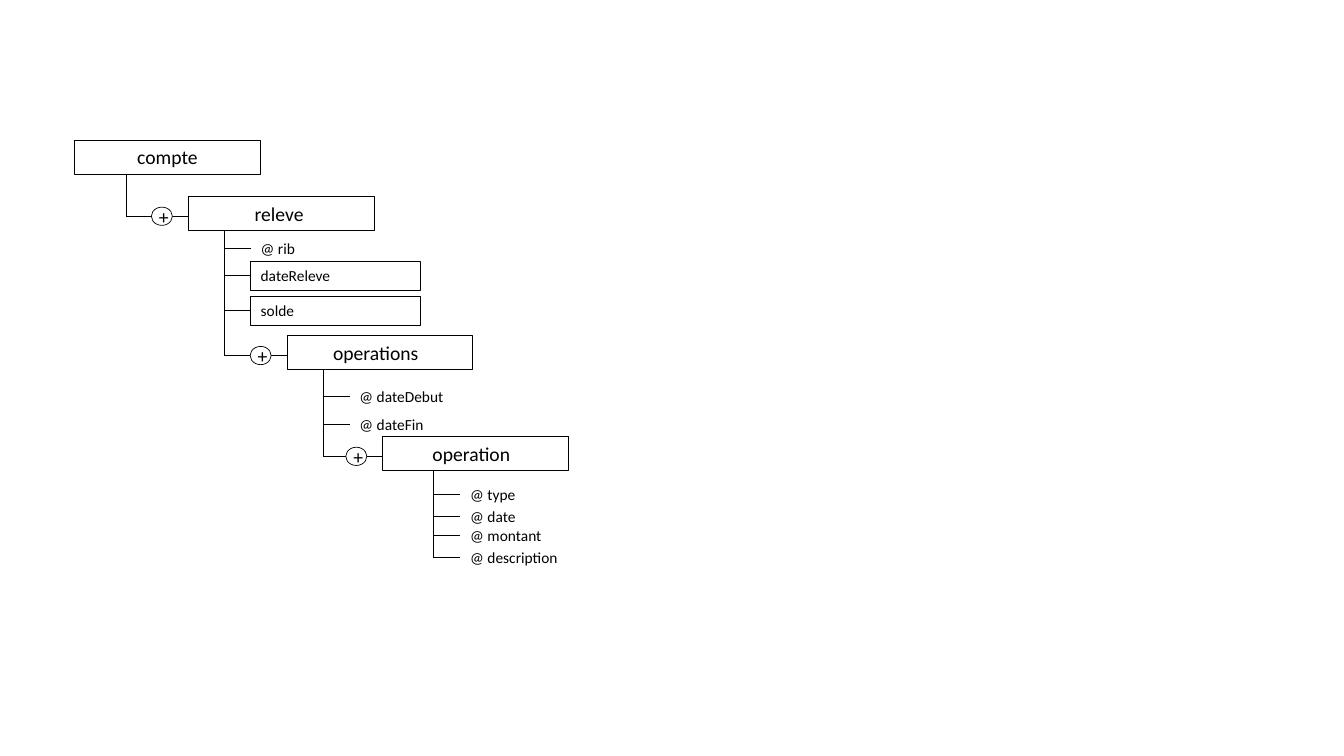
from dataclasses import dataclass, field

from lxml.etree import SubElement
from pptx import Presentation
from pptx.dml.color import RGBColor
from pptx.enum.shapes import MSO_CONNECTOR as Connector, MSO_SHAPE as Preset
from pptx.enum.text import MSO_ANCHOR as Anchor, PP_ALIGN as Align
from pptx.oxml.ns import qn
from pptx.util import Cm, Pt


@dataclass(frozen=True)
class Theme:
    """Colours, font, type sizes and line widths."""
    ink: RGBColor = RGBColor(0, 0, 0)
    paper: RGBColor = RGBColor(255, 255, 255)
    font: str = "Calibri"
    node_size: int = 14
    leaf_size: int = 11
    box_line: float = 0.75
    thin_line: float = 0.5


@dataclass
class Leaf:
    """An attribute or a boxed child element, centred on height y."""
    label: str
    y: float
    boxed: bool = False


@dataclass
class Node:
    """An element box, with its trunk offset and its leaves; nudge is an extra right inset."""
    label: str
    left: float
    top: float
    trunk: float
    leaves: list = field(default_factory=list)
    nudge: float = 0


NODE_W, NODE_H = 4.68, 0.86
LEAF_W, LEAF_H = 4.27, 0.73
PLUS_W, PLUS_H = 0.53, 0.46
BRANCH = 0.67      # trunk to leaf
LINK_DROP = 0.5    # top of a node to its incoming link
PLUS_GAP = 0.67    # centre of the plus sign to its node
INSET_X, INSET_Y = 0.25, 0.13

SCHEMA = [
    Node("compte", 1.88, 3.53, 1.3),
    Node("releve", 4.75, 4.95, 0.9, [
        Leaf("@ rib", 6.27), Leaf("dateReleve", 6.95, True), Leaf("solde", 7.83, True)],
        nudge=0.11),
    Node("operations", 7.24, 8.46, 0.9, [
        Leaf("@ dateDebut", 9.98), Leaf("@ dateFin", 10.69)], nudge=0.22),
    Node("operation", 9.65, 11.0, 1.28, [
        Leaf("@ type", 12.45), Leaf("@ date", 13.0),
        Leaf("@ montant", 13.49), Leaf("@ description", 14.05)], nudge=0.22),
]


class SchemaSlide:
    """Draws the parts of a schema tree on one slide."""

    def __init__(self, slide, theme):
        """Keep the slide and its style."""
        self.shapes = slide.shapes
        self.theme = theme

    def add_label(self, holder, label, size, align, insets):
        """Add one run of text; insets are left, top, right and bottom."""
        frame = holder.text_frame
        frame.word_wrap = True
        frame.vertical_anchor = Anchor.MIDDLE
        (frame.margin_left, frame.margin_top,
         frame.margin_right, frame.margin_bottom) = map(Cm, insets)
        paragraph = frame.paragraphs[0]
        paragraph.alignment = align
        run = paragraph.add_run()
        run.text = label
        run.font.name = self.theme.font
        run.font.size = Pt(size)
        run.font.color.rgb = self.theme.ink

    def outline(self, preset, left, top, width, height, weight):
        """Add an outlined shape without fill or shadow."""
        shape = self.shapes.add_shape(preset, Cm(left), Cm(top), Cm(width), Cm(height))
        shape.shadow.inherit = False
        shape.fill.background()
        shape.line.color.rgb = self.theme.ink
        shape.line.width = Pt(weight)
        return shape

    def line(self, x1, y1, x2, y2):
        """Draw a thin straight line."""
        branch = self.shapes.add_connector(
            Connector.STRAIGHT, Cm(x1), Cm(y1), Cm(x2), Cm(y2))
        branch.line.color.rgb = self.theme.ink
        branch.line.width = Pt(self.theme.thin_line)
        SubElement(branch._element.spPr, qn("a:effectLst"))

    def node(self, node):
        """Draw the box of an element."""
        box = self.outline(Preset.RECTANGLE, node.left, node.top, NODE_W, NODE_H,
                           self.theme.box_line)
        self.add_label(box, node.label, self.theme.node_size, Align.CENTER,
                       (INSET_X, INSET_Y, INSET_X + node.nudge, INSET_Y))

    def leaf(self, leaf, trunk_x):
        """Draw a leaf and its branch from the trunk."""
        left, top = trunk_x + BRANCH, leaf.y - LEAF_H / 2
        self.line(trunk_x, leaf.y, left, leaf.y)
        if leaf.boxed:
            holder = self.outline(Preset.RECTANGLE, left, top, LEAF_W, LEAF_H,
                                  self.theme.box_line)
        else:
            holder = self.shapes.add_textbox(Cm(left), Cm(top), Cm(LEAF_W), Cm(LEAF_H))
        self.add_label(holder, leaf.label, self.theme.leaf_size, Align.LEFT,
                       (INSET_X, INSET_Y, INSET_X, INSET_Y))

    def link(self, trunk_x, child):
        """Link a trunk to a child element through a plus sign."""
        y = child.top + LINK_DROP
        self.line(trunk_x, y, child.left, y)
        plus = self.outline(Preset.OVAL, child.left - PLUS_GAP - PLUS_W / 2,
                            y - PLUS_H / 2, PLUS_W, PLUS_H, self.theme.thin_line)
        plus.fill.solid()
        plus.fill.fore_color.rgb = self.theme.paper
        self.add_label(plus, "+", self.theme.node_size, Align.CENTER, (0.1, 0, 0, 0))
        plus.text_frame.word_wrap = False

    def branch_out(self, node, child):
        """Draw a node with its trunk, its leaves and the link to its child."""
        trunk_x = node.left + node.trunk
        end = child.top + LINK_DROP if child else node.leaves[-1].y
        self.node(node)
        self.line(trunk_x, node.top + NODE_H, trunk_x, end)
        for leaf in node.leaves:
            self.leaf(leaf, trunk_x)
        if child:
            self.link(trunk_x, child)


def main():
    """Build the slide and save it."""
    deck = Presentation()
    deck.slide_width, deck.slide_height = Cm(33.87), Cm(19.05)
    blank_layout = deck.slide_layouts[6]
    schema = SchemaSlide(deck.slides.add_slide(blank_layout), Theme())
    for node, child in zip(SCHEMA, SCHEMA[1:] + [None]):
        schema.branch_out(node, child)
    deck.save("out.pptx")


main()
